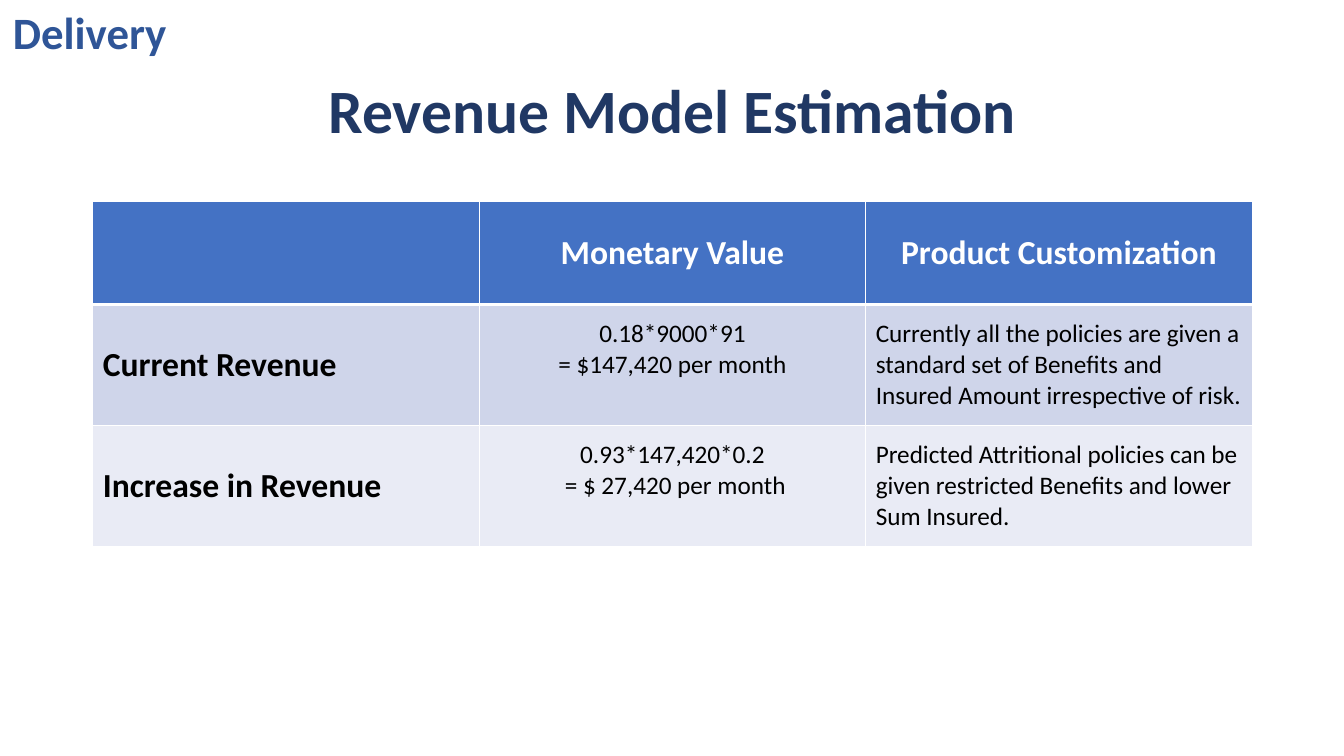
import pptx
import pptx.util
import pptx.dml.color
import pptx.enum.text
import lxml.etree
from dataclasses import dataclass

Inches = pptx.util.Inches
Align = pptx.enum.text.PP_ALIGN
Anchor = pptx.enum.text.MSO_ANCHOR


@dataclass
class Theme:
    font: str = "Calibri"
    navy: str = "203864"
    blue: str = "2F5597"
    head: str = "4472C4"
    bands: tuple = ("CFD5EA", "E9EBF5")
    black: str = "000000"
    white: str = "FFFFFF"
    title: int = 44
    tag: int = 32
    label: int = 24
    body: int = 18
    thin: int = 1
    thick: int = 3


class Deck:
    def __init__(self, theme):
        self.theme = theme
        self.file = pptx.Presentation()
        self.file.slide_width = Inches(13.33)
        self.file.slide_height = Inches(7.5)
        self.slide = self.file.slides.add_slide(self.file.slide_layouts[6])

    def style(self, frame, text, size, color, bold, align):
        frame.text = text
        for para in frame.paragraphs:
            para.alignment = align
            for run in para.runs:
                run.font.name = self.theme.font
                run.font.size = pptx.util.Pt(size)
                run.font.bold = bold
                run.font.color.rgb = pptx.dml.color.RGBColor.from_string(color)

    def label(self, box, text, size, color, align=Align.LEFT, anchor=Anchor.TOP):
        frame = self.slide.shapes.add_textbox(*map(Inches, box)).text_frame
        frame.word_wrap = True
        frame.vertical_anchor = anchor
        self.style(frame, text, size, color, True, align)
        return frame

    def border(self, cell, top, bottom):
        thin = self.theme.thin
        space = "http://schemas.openxmlformats.org/drawingml/2006/main"
        props = cell._tc.get_or_add_tcPr()
        for side, width in zip("LRTB", (thin, thin, top, bottom)):
            line = lxml.etree.SubElement(props, f"{{{space}}}ln{side}", w=str(pptx.util.Pt(width)))
            fill = lxml.etree.SubElement(line, f"{{{space}}}solidFill")
            lxml.etree.SubElement(fill, f"{{{space}}}srgbClr", val=self.theme.white)

    def cell(self, cell, text, row, col):
        look = self.theme
        header = row == 0
        self.border(cell, look.thick if row == 1 else look.thin,
                    look.thick if header else look.thin)
        cell.fill.solid()
        cell.fill.fore_color.rgb = pptx.dml.color.RGBColor.from_string(
            look.head if header else look.bands[(row - 1) % 2])
        cell.vertical_anchor = Anchor.MIDDLE
        strong = header or col == 0
        self.style(cell.text_frame, text, look.label if strong else look.body,
                   look.white if header else look.black, strong,
                   Align.CENTER if header or col == 1 else Align.LEFT)
        # Raise the sums so they line up with the text beside them
        if col == 1 and not header:
            cell.margin_bottom = Inches(0.35)

    def table(self, box, rows, heights):
        table = self.slide.shapes.add_table(len(rows), len(rows[0]), *map(Inches, box)).table
        for col in table.columns:
            col.width = Inches(box[2] / len(rows[0]))
        for r, (texts, height) in enumerate(zip(rows, heights)):
            table.rows[r].height = Inches(height)
            for c, text in enumerate(texts):
                self.cell(table.cell(r, c), text, r, c)


def main():
    theme = Theme()
    deck = Deck(theme)

    # Title
    title = deck.label((0.92, 0.4, 11.5, 1.45), "Revenue Model Estimation",
                       theme.title, theme.navy, Align.CENTER, Anchor.MIDDLE)
    title.paragraphs[0].line_spacing = 0.9

    # Revenue table
    rows = [
        ("", "Monetary Value", "Product Customization"),
        ("Current Revenue", "0.18*9000*91\n= $147,420 per month",
         "Currently all the policies are given a standard set of Benefits "
         "and Insured Amount irrespective of risk."),
        ("Increase in Revenue", "0.93*147,420*0.2\n = $ 27,420 per month",
         "Predicted Attritional policies can be given restricted Benefits "
         "and lower Sum Insured."),
    ]
    deck.table((0.92, 2, 11.5, 3.42), rows, (1.02, 1.2, 1.2))

    # Section tag
    deck.label((0.03, 0, 1.78, 0.64), "Delivery", theme.tag, theme.blue)

    deck.file.save("out.pptx")


if __name__ == "__main__":
    main()
